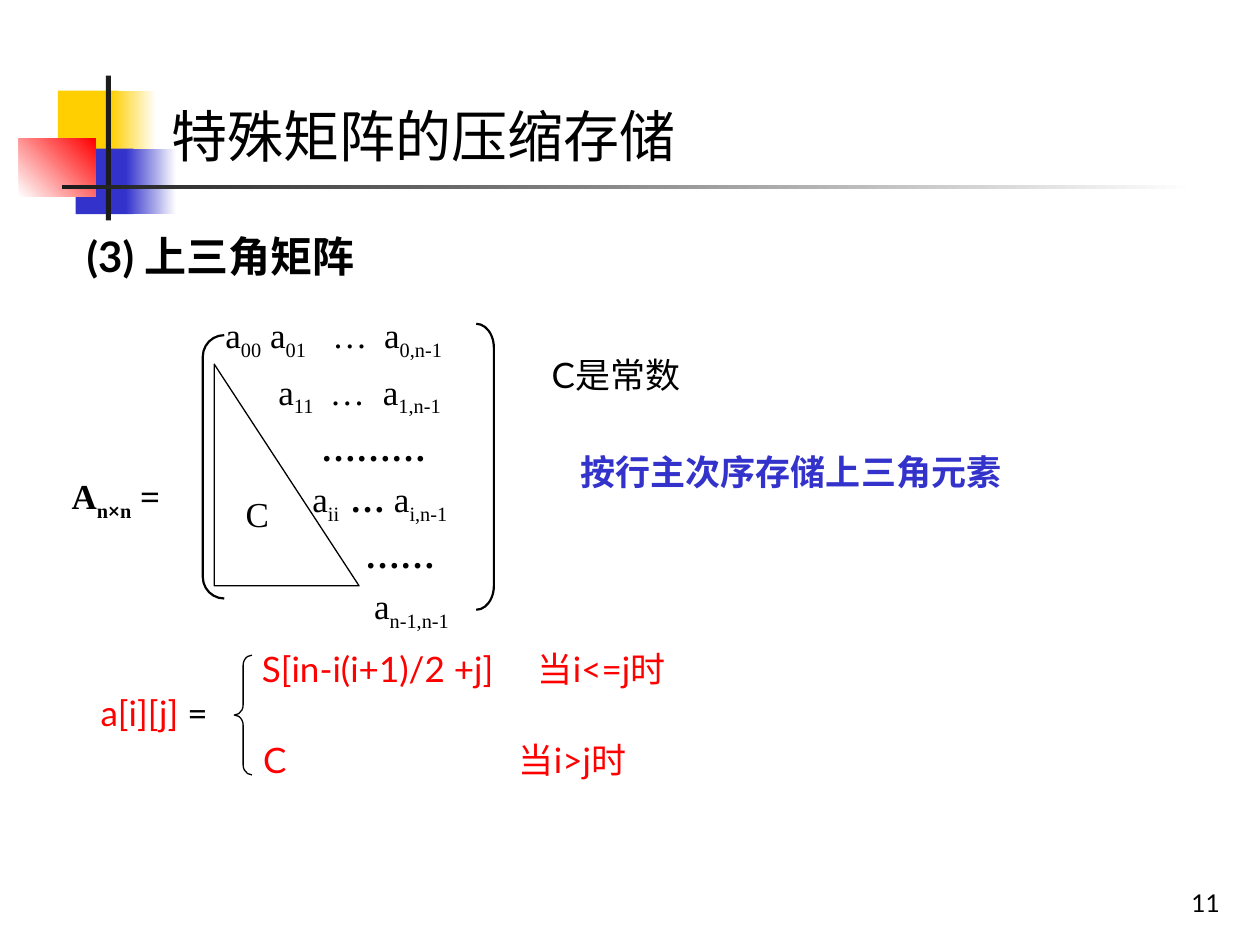
from dataclasses import dataclass, field
from lxml.etree import SubElement
from pptx import Presentation
from pptx.dml.color import RGBColor
from pptx.enum.shapes import MSO_SHAPE
from pptx.enum.text import MSO_ANCHOR, PP_ALIGN
from pptx.oxml.ns import qn
from pptx.slide import Slide
from pptx.util import Inches, Pt

COLORS = {
    "black": "000000", "white": "FFFFFF", "ink": "1C1C1C",
    "yellow": "FFCF01", "blue": "3333CC", "red": "FF0000",
}
SANS, CJK, SERIF = "Lato", "Noto Sans CJK JP", "Times New Roman"


def rgb(name):
    """Return the palette colour of that name."""
    return RGBColor.from_string(COLORS[name])


def write(paragraph, text, *, font=SANS, size=20, color="black", bold=False):
    """Append text whose parts between bars alternate normal and subscript."""
    for index, part in enumerate(text.split("|")):
        if not part:
            continue
        run = paragraph.add_run()
        run.text = part
        run.font.name, run.font.size, run.font.bold = font, Pt(size), bold
        run.font.color.rgb = rgb(color)
        properties = run.font._element
        SubElement(properties, qn("a:ea")).set("typeface", CJK)
        if index % 2:
            properties.set("baseline", "-25000")


def set_tabs(paragraph, stops):
    """Give the paragraph left tab stops in inches."""
    tab_list = SubElement(paragraph._p.get_or_add_pPr(), qn("a:tabLst"))
    for stop in stops:
        SubElement(tab_list, qn("a:tab"), pos=str(Inches(stop)), algn="l")


@dataclass
class Lecture:
    """Hold the text style and the current slide."""

    slide: Slide
    style: dict = field(default_factory=lambda: {"font": SANS, "size": 20})

    def shape(self, kind, box, fill=None, fade=None, angle=0, line=None, bend=None):
        """Add a preset shape with a plain, fading or empty fill."""
        shape = self.slide.shapes.add_shape(kind, *map(Inches, box))
        shape.shadow.inherit = False
        if fade:
            shape.fill.gradient()
            shape.fill.gradient_angle = angle
            for stop, name in zip(shape.fill.gradient_stops, (fill, fade)):
                stop.color.rgb = rgb(name)
        elif fill:
            shape.fill.solid()
            shape.fill.fore_color.rgb = rgb(fill)
        else:
            shape.fill.background()
        if line:
            shape.line.color.rgb = rgb("black")
            shape.line.width = Pt(line)
        else:
            shape.line.fill.background()
        if bend:
            shape.adjustments[0] = bend

    def text(self, box, *rows, tabs=(), leading=None, gap=0,
             align=PP_ALIGN.LEFT, anchor=MSO_ANCHOR.TOP, **style):
        """Add a text box with one paragraph per row of (text, format) runs."""
        frame = self.slide.shapes.add_textbox(*map(Inches, box)).text_frame
        frame.word_wrap, frame.vertical_anchor = True, anchor
        for index, row in enumerate(rows):
            paragraph = frame.add_paragraph() if index else frame.paragraphs[0]
            if tabs:
                set_tabs(paragraph, tabs[index])
            paragraph.alignment = align
            if leading:
                paragraph.line_spacing = leading
            if index:
                paragraph.space_before = Pt(gap)
            for text, changes in [(row, {})] if isinstance(row, str) else row:
                write(paragraph, text, **{**self.style, **style, **changes})


def draw_banner(lecture):
    """Draw the coloured blocks and the rules beside the title."""
    for box, fill, fade, angle in (
        ((0.46, 0.72, 0.48, 0.52), "yellow", None, 0),
        ((0.88, 0.72, 0.36, 0.52), "yellow", "white", 0),
        ((0.6, 1.18, 0.46, 0.52), "blue", None, 0),
        ((1, 1.18, 0.4, 0.52), "blue", "white", 0),
        ((0.15, 1.1, 0.61, 0.46), "white", "red", 45),
        ((0.84, 0.6, 0.04, 1.15), "ink", None, 0),
        ((0.49, 1.47, 9, 0.03), "ink", "white", 0),
    ):
        lecture.shape(MSO_SHAPE.RECTANGLE, box, fill, fade, angle)


def draw_formula(lecture):
    """Draw the address formula with its two cases."""
    formula = {"leading": 1.25, "color": "red"}
    lecture.text((0.7, 5.36, 1.27, 0.83),
                 [("a[i][j]", {}), (" =", {"color": "black"})], **formula)
    lecture.text((1.98, 5.01, 4.61, 0.57), "S[in-i(i+1)/2 +j]\t当i<=j时",
                 tabs=[[2.19]], **formula)
    lecture.text((1.99, 5.73, 4.26, 0.57), "C\t当i>j时", tabs=[[2.03]], **formula)
    lecture.shape(MSO_SHAPE.LEFT_BRACE, (1.86, 5.2, 0.14, 0.95), line=0.75, bend=0.57)


def draw_matrix(lecture):
    """Draw the upper triangular matrix with its constant lower part."""
    bold = {"bold": True}
    lecture.text(
        (1.69, 2.44, 2.49, 2.63),
        "a|00| a|01|\t…\ta|0,n-1|",
        "\ta|11|\t…\ta|1,n-1|",
        [("\t………", bold)],
        [("\ta|ii|\t", {}), ("… ", bold), ("a|i,n-1|", {})],
        [("\t……", bold)],
        "\ta|n-1,n-1|",
        tabs=[[0.85, 1.26], [0.42, 0.83, 1.25], [0.76], [0.69, 0.99], [1.11], [1.18]],
        gap=5, font=SERIF)
    lecture.text((0.47, 3.72, 2.27, 0.48),
                 [("A|n|", {}), ("|×|", {"font": SANS}), ("|n| =", {})],
                 font=SERIF, bold=True)
    lecture.shape(MSO_SHAPE.LEFT_BRACKET, (1.61, 2.66, 0.17, 2.09), line=1.25, bend=1)
    lecture.shape(MSO_SHAPE.RIGHT_BRACKET, (3.78, 2.57, 0.14, 2.27), line=1.25, bend=1.36)
    lecture.shape(MSO_SHAPE.RIGHT_TRIANGLE, (1.7, 2.89, 1.15, 1.76), "white", line=0.75)
    lecture.text((1.85, 3.86, 0.45, 0.44), "C", font=SERIF)


def main():
    """Build and save the slide."""
    deck = Presentation()
    deck.slide_width, deck.slide_height = Inches(10), Inches(7.5)
    lecture = Lecture(deck.slides.add_slide(deck.slide_layouts[6]))
    draw_banner(lecture)
    lecture.text((0.59, 1.78, 7.4, 0.5), "(3) 上三角矩阵", size=24, bold=True)
    lecture.text((1.26, 0.76, 8.74, 0.64), "特殊矩阵的压缩存储", font=CJK, size=32)
    lecture.text((4.51, 3.44, 5.04, 1.02), "按行主次序存储上三角元素",
                 leading=1.25, color="blue", bold=True)
    lecture.text((4.28, 2.67, 1.87, 0.73), "C是常数", leading=1.25)
    draw_formula(lecture)
    draw_matrix(lecture)
    lecture.text((7.7, 6.83, 2.08, 0.5), "11", size=14,
                 align=PP_ALIGN.RIGHT, anchor=MSO_ANCHOR.BOTTOM)
    deck.save("out.pptx")


if __name__ == "__main__":
    main()
